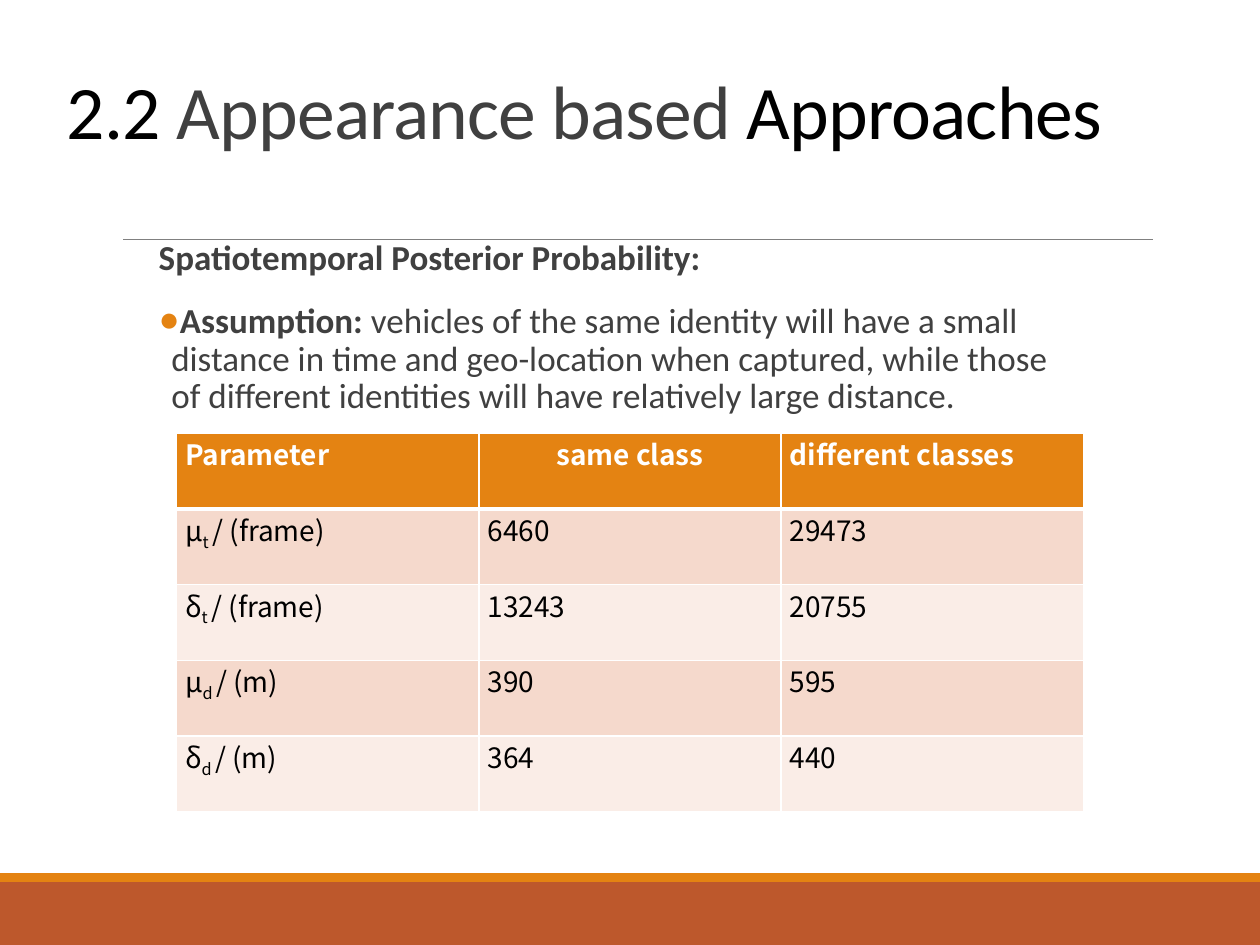
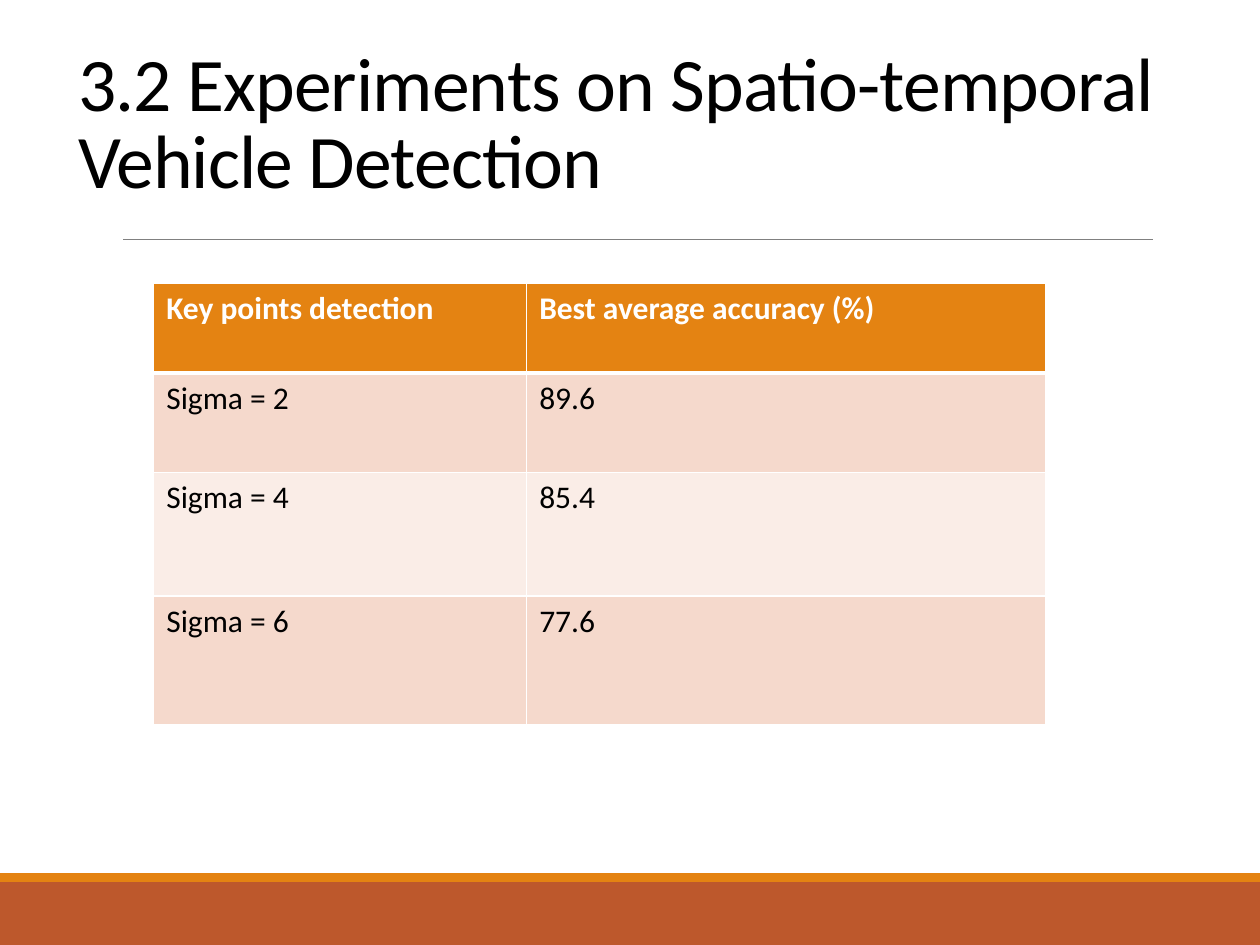
from lxml.etree import SubElement
from pptx import Presentation
from pptx.dml.color import RGBColor
from pptx.enum.shapes import MSO_CONNECTOR, MSO_SHAPE
from pptx.enum.text import MSO_ANCHOR, MSO_AUTO_SIZE, PP_ALIGN
from pptx.oxml.ns import qn
from pptx.util import Inches, Pt

WIDTH, HEIGHT = 10, 7.5
FOOTER_TOP, ACCENT_HEIGHT = 7, 0.07
RULE_LEFT, RULE_RIGHT, RULE_TOP = 0.98, 9.15, 1.9
TITLE_SIZE = (9, 1.07)
FONT = "Calibri"
ORANGE, RUST, GRAY = "E48312", "BD582C", "808080"
BLACK, DARK, WHITE = "000000", "404040", "FFFFFF"
ROW_FILLS = ("F5D9CC", "FAEDE7")

# A run is (text, colour) in a title and (text, bold) in a body list.
APPEARANCE = {
    "title": [("2.2 ", BLACK), ("Appearance based ", DARK), ("Approaches", BLACK)],
    "title_at": (0.43, 0.21),
    "body_at": (1.26, 1.86, 7.34, 4.59),
    "heading": [("Spatiotemporal Posterior Probability:", True)],
    "bullet": [
        ("Assumption: ", True),
        ("vehicles of the same identity will have a small distance in time and "
         "geo-location when captured, while those of different identities will "
         "have relatively large distance.", False),
    ],
    # A tuple in a cell is (symbol, subscript, unit).
    "table": [
        ["Parameter", "same class", "different classes"],
        [("μ", "t ", "/ (frame)"), "6460", "29473"],
        [("δ", "t ", "/ (frame)"), "13243", "20755"],
        [("μ", "d ", "/ (m)"), "390", "595"],
        [("δ", "d ", "/ (m)"), "364", "440"],
    ],
    "table_at": (1.4, 3.44),
    "columns": [2.4] * 3,
    "rows": [0.6] * 5,
    "font": ("Noto Sans CJK SC", 16),
    "margins": (0.07, 0),
    "centred_header": 1,
}
EXPERIMENTS = {
    "title": [("3.2 Experiments on Spatio-temporal Vehicle Detection", BLACK)],
    "title_at": (0.52, 0.6),
    "table": [
        ["Key points detection", "Best average accuracy (%)"],
        ["Sigma = 2", "89.6"],
        ["Sigma = 4", "85.4"],
        ["Sigma = 6", "77.6"],
    ],
    "table_at": (1.22, 2.25),
    "columns": [2.96, 4.12],
    "rows": [0.71, 0.79, 0.98, 1.02],
    "font": (FONT, 18),
    "margins": (0.1, 0.05),
    "centred_header": None,
}


def rgb(color):
    return RGBColor.from_string(color)


def place(shape, left, top, width, height):
    shape.left, shape.top = Inches(left), Inches(top)
    shape.width, shape.height = Inches(width), Inches(height)


def add_run(paragraph, text, size, color, bold=False, font=FONT):
    run = paragraph.add_run()
    run.text = text
    run.font.name, run.font.size, run.font.bold = font, Pt(size), bold
    run.font.color.rgb = rgb(color)
    return run


def add_band(slide, top, height, color):
    band = slide.shapes.add_shape(MSO_SHAPE.RECTANGLE, 0, Inches(top),
                                  Inches(WIDTH), Inches(height))
    band.fill.solid()
    band.fill.fore_color.rgb = rgb(color)
    band.line.fill.background()
    band.shadow.inherit = False
    return band


def decorate_layout(slide):
    """Draw the shared bands and title rule, then move them to the slide's layout."""
    rule = slide.shapes.add_connector(
        MSO_CONNECTOR.STRAIGHT, Inches(RULE_LEFT), Inches(RULE_TOP),
        Inches(RULE_RIGHT), Inches(RULE_TOP))
    rule.line.color.rgb, rule.line.width = rgb(GRAY), Pt(0.5)
    SubElement(rule.element.spPr, qn("a:effectLst"))
    footer = add_band(slide, FOOTER_TOP, HEIGHT - FOOTER_TOP, RUST)
    accent = add_band(slide, FOOTER_TOP - ACCENT_HEIGHT, ACCENT_HEIGHT, ORANGE)
    for shape in (footer, accent, rule):
        slide.slide_layout.shapes.element.append(shape.element)


def fill_title(slide, content):
    title = slide.shapes.title
    place(title, *content["title_at"], *TITLE_SIZE)
    frame = title.text_frame
    frame.auto_size, frame.vertical_anchor = MSO_AUTO_SIZE.NONE, MSO_ANCHOR.BOTTOM
    paragraph = frame.paragraphs[0]
    paragraph.alignment, paragraph.line_spacing = PP_ALIGN.LEFT, 0.85
    for text, color in content["title"]:
        run = add_run(paragraph, text, 43.2, color)
        run.font._element.set("spc", "-50")


def fill_body(body, content):
    place(body, *content["body_at"])
    frame = body.text_frame
    frame.auto_size, frame.vertical_anchor = MSO_AUTO_SIZE.NONE, MSO_ANCHOR.TOP
    frame.margin_left = frame.margin_right = 0
    heading, bullet = frame.paragraphs[0], frame.add_paragraph()
    for paragraph, runs in ((heading, content["heading"]), (bullet, content["bullet"])):
        paragraph.line_spacing = 0.9
        paragraph.space_before, paragraph.space_after = Pt(12), Pt(2)
        for text, bold in runs:
            add_run(paragraph, text, 20, DARK, bold)
    set_bullet(heading, 0)
    set_bullet(bullet, 0.1, "●")


def set_bullet(paragraph, indent, character=None):
    properties = paragraph._p.get_or_add_pPr()
    properties.set("marL", str(Inches(indent)))
    properties.set("indent", str(-Inches(indent)))
    if character:
        color = SubElement(properties, qn("a:buClr"))
        SubElement(color, qn("a:srgbClr"), val=ORANGE)
        SubElement(properties, qn("a:buChar"), char=character)
    else:
        SubElement(properties, qn("a:buNone"))


def set_borders(cell, row):
    """Edge a cell in white, with a thicker line under the header row."""
    widths = {"L": 1, "R": 1, "T": 3 if row == 1 else 1, "B": 3 if row == 0 else 1}
    properties = cell._tc.get_or_add_tcPr()
    for side, width in widths.items():
        line = SubElement(properties, qn(f"a:ln{side}"), w=str(Pt(width)))
        fill = SubElement(line, qn("a:solidFill"))
        SubElement(fill, qn("a:srgbClr"), val=WHITE)


def fill_cell(cell, value, row, content):
    set_borders(cell, row)
    cell.fill.solid()
    cell.fill.fore_color.rgb = rgb(ROW_FILLS[(row - 1) % 2] if row else ORANGE)
    horizontal, vertical = content["margins"]
    cell.margin_left = cell.margin_right = Inches(horizontal)
    cell.margin_top = cell.margin_bottom = Inches(vertical)
    font, size = content["font"]
    parts = (value,) if isinstance(value, str) else value
    for index, text in enumerate(parts):
        run = add_run(cell.text_frame.paragraphs[0], text, size,
                      BLACK if row else WHITE, row == 0, font)
        if index == 1:
            run.font._element.set("baseline", "-25000")


def add_data_table(slide, content):
    columns, rows = content["columns"], content["rows"]
    left, top = content["table_at"]
    table = slide.shapes.add_table(
        len(rows), len(columns), Inches(left), Inches(top),
        Inches(sum(columns)), Inches(sum(rows))).table
    for column, width in zip(table.columns, columns):
        column.width = Inches(width)
    for row, height in zip(table.rows, rows):
        row.height = Inches(height)
    for row, values in enumerate(content["table"]):
        for column, value in enumerate(values):
            fill_cell(table.cell(row, column), value, row, content)
    if content["centred_header"] is not None:
        header = table.cell(0, content["centred_header"])
        header.text_frame.paragraphs[0].alignment = PP_ALIGN.CENTER


def main():
    presentation = Presentation()
    presentation.slide_width, presentation.slide_height = Inches(WIDTH), Inches(HEIGHT)
    layout = presentation.slide_layouts.get_by_name("Title and Content")
    for number, content in enumerate((APPEARANCE, EXPERIMENTS)):
        slide = presentation.slides.add_slide(layout)
        if number == 0:
            decorate_layout(slide)
        fill_title(slide, content)
        body = slide.placeholders[1]
        if "bullet" in content:
            fill_body(body, content)
        else:
            body.element.getparent().remove(body.element)
        add_data_table(slide, content)
    presentation.save("out.pptx")


if __name__ == "__main__":
    main()
